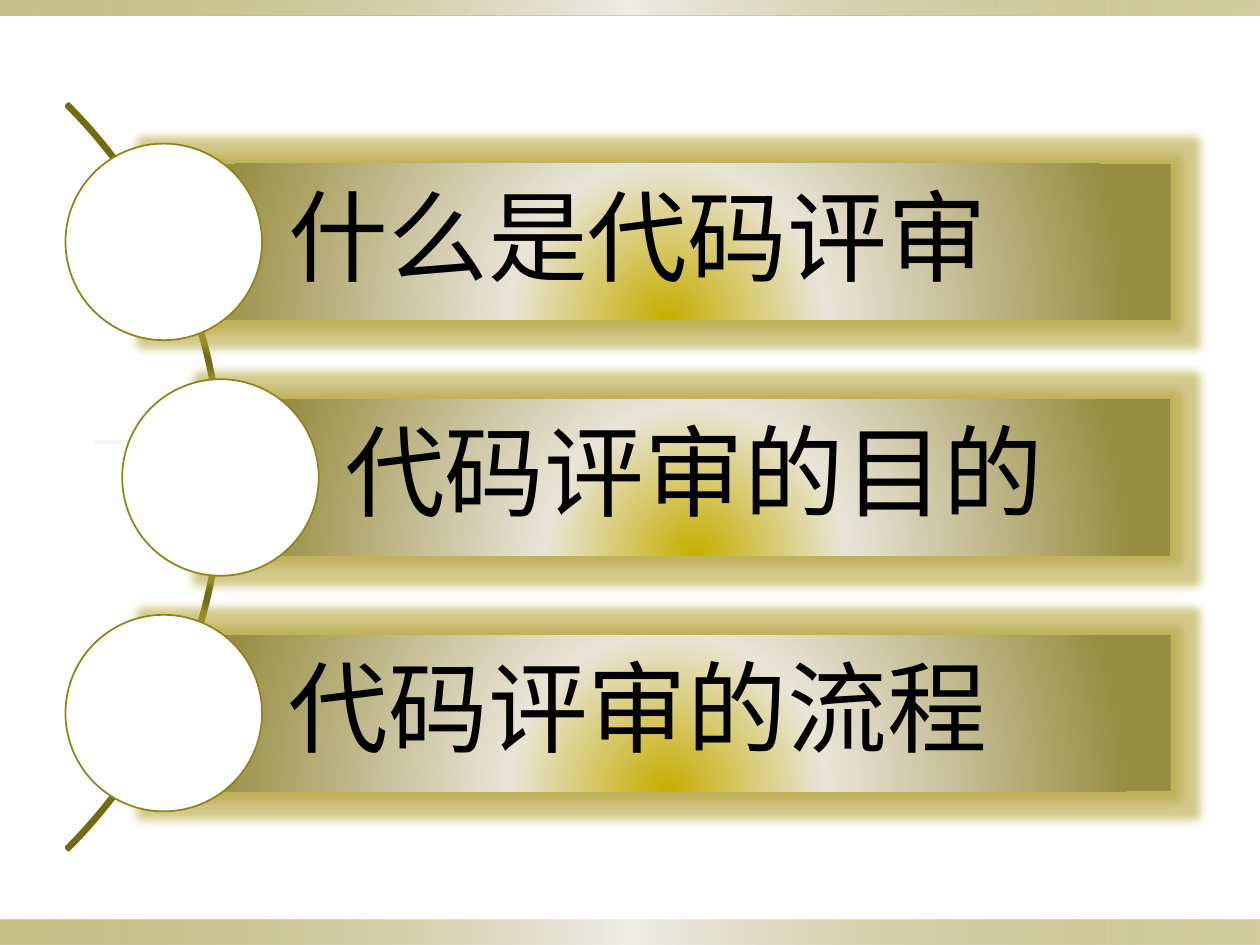
from lxml.etree import SubElement
from pptx import Presentation
from pptx.dml.color import RGBColor
from pptx.enum.shapes import MSO_SHAPE
from pptx.enum.text import MSO_ANCHOR, PP_ALIGN
from pptx.oxml import parse_xml
from pptx.oxml.ns import nsdecls, qn
from pptx.util import Inches, Pt

TOPICS = [("什么是代码评审", 1.3), ("代码评审的目的", 1.75), ("代码评审的流程", 1.3)]
BANDS = [(0, 7.3, 10, 0.2), (0, 0, 10, 0.12)]
RULE = (0.75, 3.5, 8.5, 0.02)
BLACK = RGBColor(0, 0, 0)
WHITE = RGBColor(255, 255, 255)
OLIVE = RGBColor(0x91, 0x84, 0x15)
DARK = RGBColor(0x74, 0x6A, 0x11)
SILVER = RGBColor(0xEE, 0xED, 0xE8)
SAND = RGBColor(0xDC, 0xD9, 0xCC)
GOLD = RGBColor(0xC6, 0xAD, 0x00)
CREAM = RGBColor(0xE8, 0xE5, 0xD8)
MOSS = RGBColor(0x98, 0x8C, 0x41)
GLOW = RGBColor(0xB4, 0xA4, 0x3C)
BAND_STOPS = [(0, OLIVE, 50), (50, SILVER, 100), (100, OLIVE, 40)]
RULE_STOPS = [(0, SAND, 20), (50, OLIVE, 40), (100, SAND, 50)]
BAR_STOPS = [(0, GOLD, 100), (31, CREAM, 100), (91, MOSS, 100)]
LINEAR = '<a:lin ang="0" scaled="0"/>'
RADIAL = ('<a:path path="circle"><a:fillToRect l="50000" t="150000" '
          'r="50000" b="0"/></a:path>')
FIRST, STEP = 1.92, 1.87
RIGHT, HIGH, DISC = 9.29, 1.24, 1.56

deck = Presentation()
deck.slide_width, deck.slide_height = Inches(10), Inches(7.5)
slide = deck.slides.add_slide(deck.slide_layouts[6])


def add(kind, box):
    shape = slide.shapes.add_shape(kind, *map(Inches, box))
    shape.shadow.inherit = False
    shape.fill.background()
    shape.line.fill.background()
    return shape


def shade(shape, stops, way):
    marks = "".join(
        f'<a:gs pos="{pos * 1000}"><a:srgbClr val="{tint}">'
        f'<a:alpha val="{alpha * 1000}"/></a:srgbClr></a:gs>'
        for pos, tint, alpha in stops)
    grad = parse_xml(f'<a:gradFill {nsdecls("a")} rotWithShape="1">'
                     f'<a:gsLst>{marks}</a:gsLst>{way}</a:gradFill>')
    props = shape.fill._xPr
    props.replace(props.find(qn("a:noFill")), grad)


def glow(shape):
    effect = shape.fill._xPr.find(qn("a:effectLst"))
    halo = SubElement(effect, qn("a:glow"), rad=str(Pt(11)))
    tint = SubElement(halo, qn("a:srgbClr"), val=str(GLOW))
    SubElement(tint, qn("a:alpha"), val="60000")


def stroke(shape, color, width):
    shape.line.color.rgb = color
    shape.line.width = Pt(width)


for box in BANDS:
    shade(add(MSO_SHAPE.RECTANGLE, box), BAND_STOPS, LINEAR)
shade(add(MSO_SHAPE.RECTANGLE, RULE), RULE_STOPS, LINEAR)

arc = add(MSO_SHAPE.BLOCK_ARC, (-6.6, -0.4, 8.37, 8.37))
for spot, value in enumerate((189, 27, 0.003)):
    arc.adjustments[spot] = value
stroke(arc, DARK, 2)

for row, (words, left) in enumerate(TOPICS):
    mid = FIRST + row * STEP
    bar = add(MSO_SHAPE.RECTANGLE, (left, mid - HIGH / 2, RIGHT - left, HIGH))
    shade(bar, BAR_STOPS, RADIAL)
    glow(bar)
    frame = bar.text_frame
    frame.text = words
    frame.word_wrap = True
    frame.vertical_anchor = MSO_ANCHOR.MIDDLE
    frame.margin_left = Inches(0.99)
    frame.margin_top = frame.margin_right = frame.margin_bottom = Inches(0.16)
    para = frame.paragraphs[0]
    para.alignment = PP_ALIGN.LEFT
    para.line_spacing = 0.9
    font = para.runs[0].font
    font.name, font.size = "Karla", Pt(57)
    font.color.rgb = BLACK

    disc = add(MSO_SHAPE.OVAL, (left - DISC / 2, mid - DISC / 2, DISC, DISC))
    disc.fill.solid()
    disc.fill.fore_color.rgb = WHITE
    stroke(disc, OLIVE, 1)

deck.save("out.pptx")
